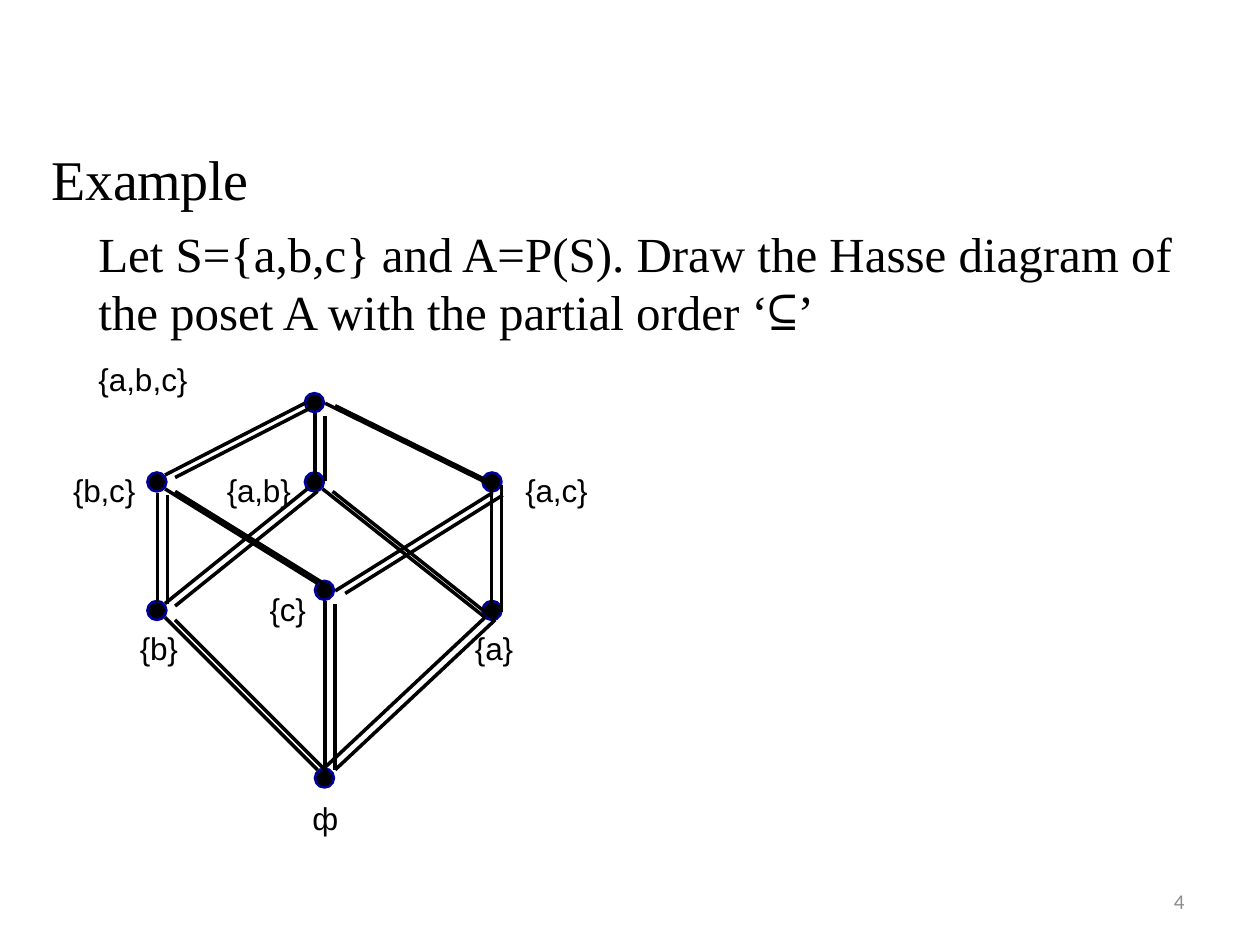
from dataclasses import dataclass
from typing import Any, NamedTuple

from lxml.etree import SubElement
from pptx import Presentation
from pptx.dml.color import RGBColor
from pptx.enum.shapes import MSO_CONNECTOR as Connector, MSO_SHAPE as Preset
from pptx.enum.text import MSO_ANCHOR as Anchor, MSO_AUTO_SIZE as AutoSize, PP_ALIGN as Align
from pptx.oxml.ns import qn
from pptx.util import Inches, Pt


@dataclass(frozen=True)
class Theme:
    ink: RGBColor = RGBColor(0, 0, 0)
    rim: RGBColor = RGBColor(0, 0, 0x98)
    muted: RGBColor = RGBColor(0x8C, 0x8C, 0x8C)
    serif: str = "Times New Roman"
    sans: str = "Arial"
    symbol: str = "Noto Sans Mono"
    footer: str = "Calibri"
    heading_size: int = 32
    body_size: int = 28
    label_size: int = 18
    footer_size: int = 12
    rim_width: float = 1.5
    edge_width: float = 2


class Box(NamedTuple):
    left: float
    top: float
    width: float
    height: float


class Label(NamedTuple):
    text: str
    box: Box


class Node(NamedTuple):
    left: float
    top: float


class Edge(NamedTuple):
    x1: float
    y1: float
    x2: float
    y2: float


THEME = Theme()
DOT = 0.15
INDENT = 0.01
STRANDS = ((0.08, 0.02), (0, 0))
FLUSH = {"margin_left": 0, "margin_top": 0, "margin_right": 0, "margin_bottom": 0,
         "auto_size": AutoSize.SHAPE_TO_FIT_TEXT}

LABELS = [
    Label("{b,c}", Box(0.57, 3.74, 0.53, 0.28)),
    Label("{a,b}", Box(1.79, 3.74, 0.54, 0.28)),
    Label("{a,c}", Box(4.16, 3.74, 0.53, 0.28)),
    Label("{b}", Box(1.1, 4.99, 0.33, 0.28)),
    Label("{c}", Box(2.13, 4.68, 0.32, 0.28)),
    Label("{a}", Box(3.76, 4.99, 0.33, 0.28)),
    Label("ф", Box(2.47, 6.34, 0.23, 0.28)),
]

NODES = [
    Node(2.42, 3.12), Node(1.17, 4.77), Node(2.5, 4.61), Node(3.83, 4.77),
    Node(1.17, 3.75), Node(2.42, 3.75), Node(3.83, 3.75), Node(2.5, 6.1),
]

EDGES = [
    Edge(2.52, 6.11, 1.31, 4.9),
    Edge(2.58, 6.09, 2.58, 4.77),
    Edge(2.58, 6.09, 3.85, 4.9),
    Edge(1.25, 4.77, 1.25, 3.91),
    Edge(1.31, 3.77, 2.42, 3.2),
    Edge(1.31, 4.79, 2.44, 3.88),
    Edge(3.85, 4.9, 2.56, 3.88),
    Edge(2.52, 4.63, 1.31, 3.88),
    Edge(2.66, 4.69, 3.91, 3.91),
    Edge(3.86, 3.83, 2.58, 3.2),
    Edge(3.9, 3.83, 3.9, 4.84),
    Edge(2.5, 3.8, 2.5, 3.28),
]


def apply(target: Any, values: dict[str, Any]) -> None:
    for name, value in values.items():
        setattr(target, name, value)


def add_frame(slide: Any, box: Box, values: dict[str, Any]) -> Any:
    frame = slide.shapes.add_textbox(*map(Inches, box)).text_frame
    apply(frame, {"word_wrap": True, **values})
    return frame


def write(paragraph: Any, text: str, font: str, size: float,
          color: RGBColor = THEME.ink, spacing: float = 0) -> None:
    run = paragraph.add_run()
    run.text = text
    apply(run.font, {"name": font, "size": Pt(size)})
    run.font.color.rgb = color
    if spacing:
        run.font._element.set("spc", str(round(spacing * 100)))


def indent(paragraph: Any) -> None:
    paragraph._p.get_or_add_pPr().set("marL", str(Inches(INDENT)))


def add_statement(slide: Any) -> None:
    heading = add_frame(slide, Box(0.4, 1.15, 1.61, 0.44), FLUSH).paragraphs[0]
    indent(heading)
    heading.line_spacing = Pt(38.2)
    write(heading, "Example", THEME.serif, THEME.heading_size, spacing=-0.2)

    body = add_frame(slide, Box(0.77, 1.77, 8.55, 1.31), FLUSH)
    task = body.paragraphs[0]
    indent(task)
    for text, font in (
        ("Let S={a,b,c} and A=P(S). Draw the Hasse diagram of "
         "the poset A with the partial order ‘", THEME.serif),
        ("⊆", THEME.symbol),
        ("’", THEME.serif),
    ):
        write(task, text, font, THEME.body_size)
    top_label = body.add_paragraph()
    indent(top_label)
    apply(top_label, {"line_spacing": Pt(21.4), "space_before": Pt(11.2)})
    write(top_label, "{a,b,c}", THEME.sans, THEME.label_size)


def add_label(slide: Any, label: Label) -> None:
    paragraph = add_frame(slide, label.box, FLUSH).paragraphs[0]
    indent(paragraph)
    write(paragraph, label.text, THEME.sans, THEME.label_size, spacing=-0.1)


def add_node(slide: Any, node: Node) -> None:
    dot = slide.shapes.add_shape(Preset.OVAL, *map(Inches, (*node, DOT, DOT)))
    dot.shadow.inherit = False
    dot.fill.solid()
    dot.fill.fore_color.rgb = THEME.ink
    dot.line.color.rgb = THEME.rim
    dot.line.width = Pt(THEME.rim_width)


def add_edge(slide: Any, edge: Edge) -> None:
    for dx, dy in STRANDS:
        ends = (edge.x1 + dx, edge.y1 + dy, edge.x2 + dx, edge.y2 + dy)
        strand = slide.shapes.add_connector(Connector.STRAIGHT, *map(Inches, ends))
        strand.line.color.rgb = THEME.ink
        strand.line.width = Pt(THEME.edge_width)
        SubElement(strand._element.spPr, qn("a:effectLst"))


def add_page_number(slide: Any) -> None:
    frame = add_frame(slide, Box(7.17, 6.95, 2.33, 0.4),
                      {"vertical_anchor": Anchor.MIDDLE})
    paragraph = frame.paragraphs[0]
    paragraph.alignment = Align.RIGHT
    write(paragraph, "4", THEME.footer, THEME.footer_size, THEME.muted)


def main() -> None:
    deck = Presentation()
    apply(deck, {"slide_width": Inches(10), "slide_height": Inches(7.5)})
    slide = deck.slides.add_slide(deck.slide_layouts[6])
    add_statement(slide)
    for label in LABELS:
        add_label(slide, label)
    for node in NODES:
        add_node(slide, node)
    for edge in EDGES:
        add_edge(slide, edge)
    add_page_number(slide)
    deck.save("out.pptx")


main()
